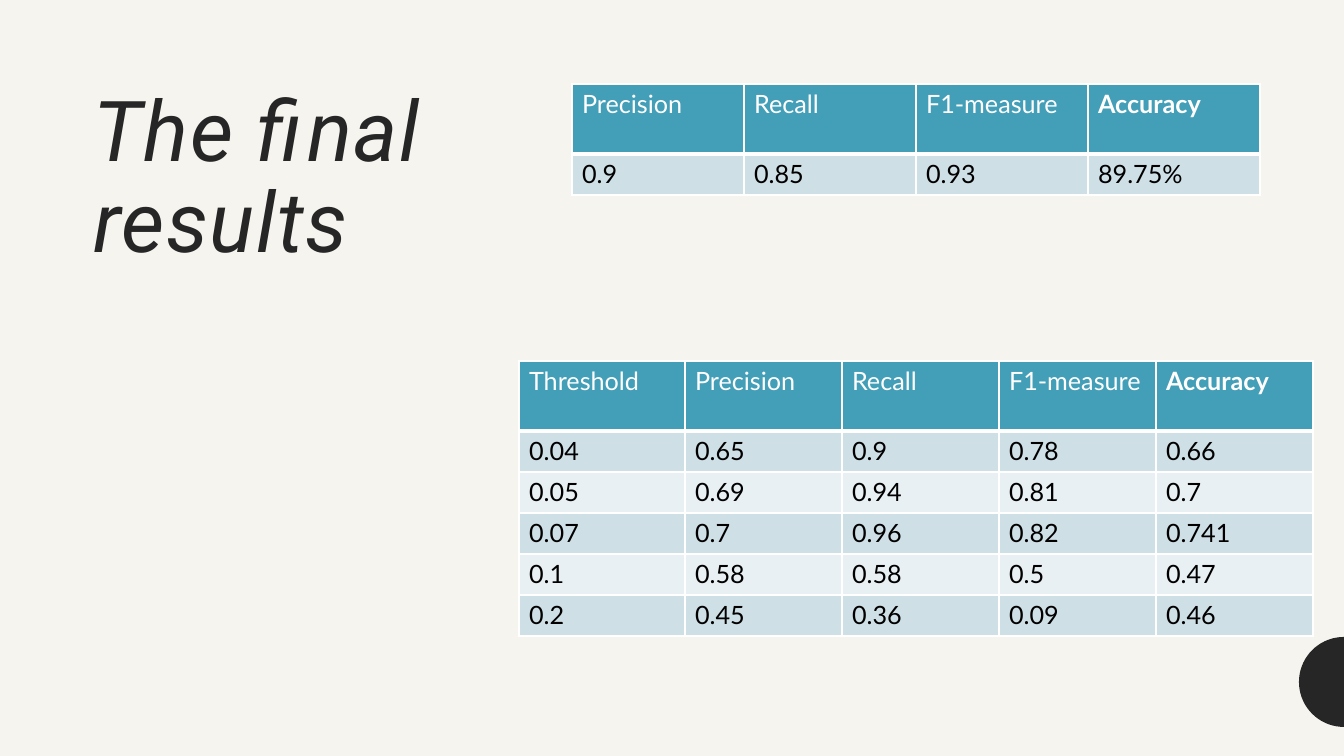
import math
import pptx
import pptx.util
import pptx.dml.color
import pptx.oxml
import pptx.oxml.ns

INK = {"page": "F6F4EF", "dark": "262626", "head": "439EB7", "odd": "CFDFE6",
       "even": "E9F0F3", "line": "FFFFFF", "text": "000000"}
SCORES = [["Precision", "Recall", "F1-measure", "Accuracy"],
          ["0.9", "0.85", "0.93", "89.75%"]]
TESTS = [["Threshold", "Precision", "Recall", "F1-measure", "Accuracy"],
         ["0.04", "0.65", "0.9", "0.78", "0.66"],
         ["0.05", "0.69", "0.94", "0.81", "0.7"],
         ["0.07", "0.7", "0.96", "0.82", "0.741"],
         ["0.1", "0.58", "0.58", "0.5", "0.47"],
         ["0.2", "0.45", "0.36", "0.09", "0.46"]]


def px(*sizes):
    return [pptx.util.Emu(round(size * 12192000 / 1344)) for size in sizes]


def paint(fill, name):
    fill.solid()
    fill.fore_color.rgb = pptx.dml.color.RGBColor.from_string(INK[name])


class Deck:
    """Holds the style and the current slide, and draws each kind of element."""

    def __init__(self):
        self.file = pptx.Presentation()
        self.file.slide_width, self.file.slide_height = px(1344, 756)
        self.slide = self.file.slides.add_slide(self.file.slide_layouts[6])
        paint(self.slide.background.fill, "page")

    def font(self, run, face, size, ink, bold=False, slant=False):
        run.font.name = face
        run.font.size = pptx.util.Pt(size)
        run.font.bold = bold
        run.font.italic = slant
        paint(run.font.fill, ink)

    def disc(self, x, y, radius):
        turns = [math.radians(a) for a in range(-90, -271, -5)]
        points = [px(x + radius * math.cos(t), y + radius * math.sin(t)) for t in turns]
        pen = self.slide.shapes.build_freeform(*points[0])
        pen.add_line_segments(points[1:], close=True)
        half = pen.convert_to_shape()
        half.shadow.inherit = False
        paint(half.fill, "dark")
        half.line.fill.background()

    def title(self, text, *box):
        frame = self.slide.shapes.add_textbox(*px(*box)).text_frame
        frame.word_wrap = True
        frame.text = text
        para = frame.paragraphs[0]
        para.line_spacing = 0.9
        run = para.runs[0]
        self.font(run, "Roboto", 60, "dark", slant=True)
        run.font._element.set("spc", "100")

    def edge(self, cell, side, width):
        space = pptx.oxml.ns.nsdecls("a")
        cell._tc.get_or_add_tcPr().append(pptx.oxml.parse_xml(
            f'<a:ln{side} {space} w="{pptx.util.Pt(width)}"><a:solidFill>'
            f'<a:srgbClr val="{INK["line"]}"/></a:solidFill></a:ln{side}>'))

    def cell(self, cell, text, row, last):
        cell.text = text
        head = row == 0
        self.font(cell.text_frame.paragraphs[0].runs[0], "Lato", 18,
                  "line" if head else "text", bold=head and last)
        for side in "LRTB":
            thick = (row, side) in [(0, "B"), (1, "T")]
            self.edge(cell, side, 3 if thick else 1)
        paint(cell.fill, "head" if head else "odd" if row % 2 else "even")

    def table(self, rows, x, y, widths):
        highs = [70] + [41] * (len(rows) - 1)
        grid = self.slide.shapes.add_table(
            len(rows), len(widths), *px(x, y, sum(widths), sum(highs))).table
        grid.horz_banding = False
        for col, width in zip(grid.columns, px(*widths)):
            col.width = width
        for line, high in zip(grid.rows, px(*highs)):
            line.height = high
        for r, row in enumerate(rows):
            for c, text in enumerate(row):
                self.cell(grid.cell(r, c), text, r, c == len(row) - 1)


def main():
    deck = Deck()
    deck.disc(1344, 682, 45)
    deck.table(SCORES, 572, 84, [172] * 4)
    deck.table(TESTS, 519, 361, [166] + [157] * 4)
    deck.title("The final results", 84, 84, 422, 524)
    deck.file.save("out.pptx")


if __name__ == "__main__":
    main()
